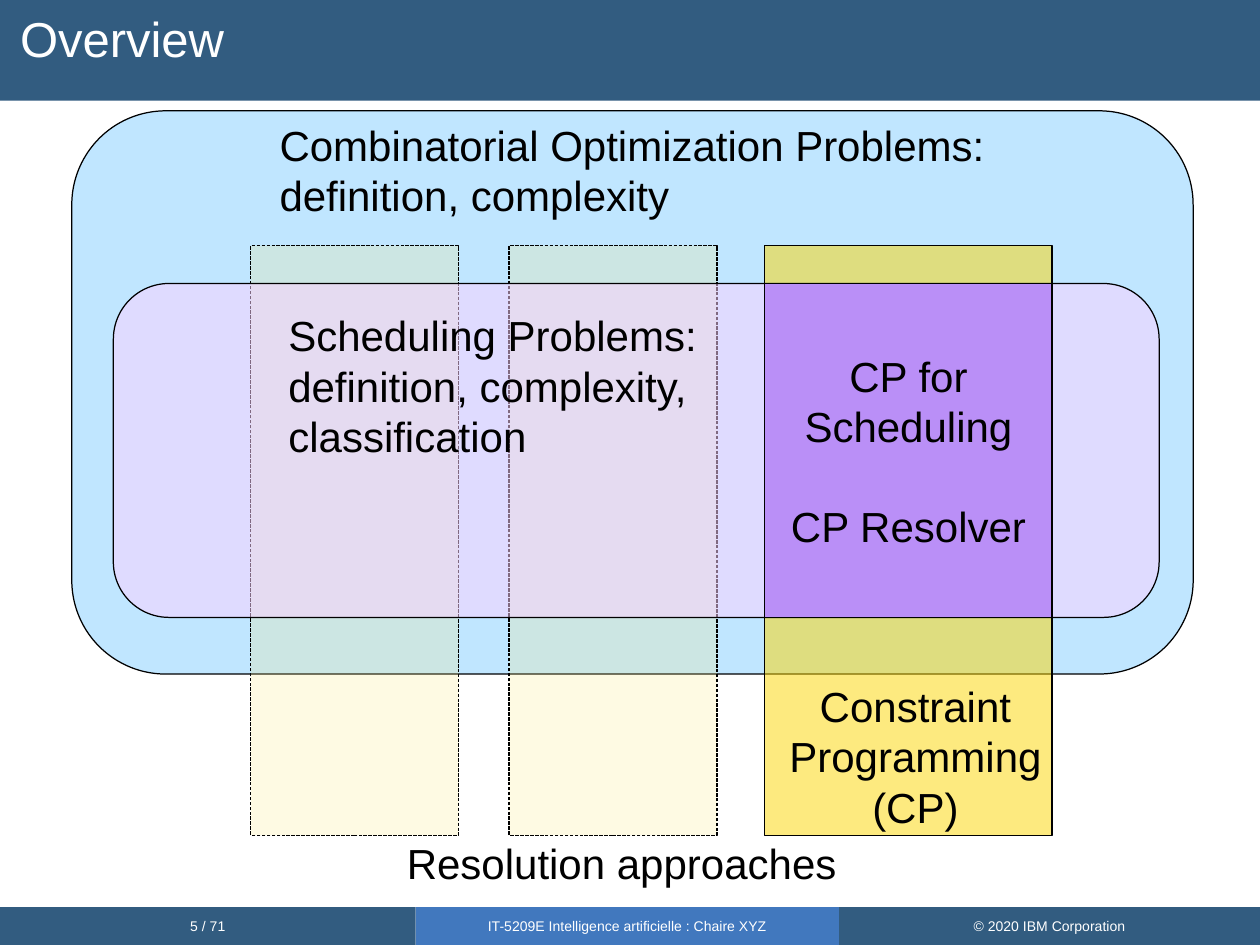
from lxml import etree
from pptx import Presentation
from pptx.dml.color import RGBColor
from pptx.enum.dml import MSO_LINE
from pptx.enum.shapes import MSO_SHAPE
from pptx.enum.text import MSO_ANCHOR, MSO_AUTO_SIZE, PP_ALIGN
from pptx.oxml.ns import qn
from pptx.util import Inches, Pt

COLORS = {
    "bar": "325C80", "bar_mid": "4178BE", "white": "FFFFFF", "black": "000000",
    "problems": "C0E6FF", "scheduling": "FFD2FF", "approach": "FDE876",
    "cp": "FDD600", "cp_scheduling": "BA8FF7",
}


def rgb(name):
    return RGBColor.from_string(COLORS[name])


def write_text(sp, lines, size=24, color="black", align=PP_ALIGN.LEFT,
               anchor=MSO_ANCHOR.TOP, insets=(0.1, 0.05, 0.1, 0.05)):
    tf = sp.text_frame
    frame_format = {"word_wrap": True, "auto_size": MSO_AUTO_SIZE.NONE,
                    "vertical_anchor": anchor}
    sides = ("margin_left", "margin_top", "margin_right", "margin_bottom")
    frame_format.update(zip(sides, map(Inches, insets)))
    for name, value in frame_format.items():
        setattr(tf, name, value)
    for i, line in enumerate(lines):
        p = tf.paragraphs[0] if i == 0 else tf.add_paragraph()
        p.alignment = align
        r = p.add_run()
        r.text = line
        for name, value in {"name": "Arial", "size": Pt(size)}.items():
            setattr(r.font, name, value)
        r.font.color.rgb = rgb(color)
    return tf


def add_block(s, box, fill, rounded=False, alpha=None, line=True, dash=None):
    kind = MSO_SHAPE.ROUNDED_RECTANGLE if rounded else MSO_SHAPE.RECTANGLE
    sp = s.shapes.add_shape(kind, *map(Inches, box))
    sp.shadow.inherit = False
    sp.fill.solid()
    sp.fill.fore_color.rgb = rgb(fill)
    if alpha is not None:
        color = sp.fill._xPr.find(".//" + qn("a:srgbClr"))
        etree.SubElement(color, qn("a:alpha")).set("val", str(alpha * 1000))
    if line:
        sp.line.color.rgb = rgb("black")
        sp.line.width = Pt(0.71)
        sp.line.dash_style = dash
    else:
        sp.line.fill.background()
    return sp


def add_label(s, box, lines, align=PP_ALIGN.LEFT):
    write_text(s.shapes.add_textbox(*map(Inches, box)), lines, align=align)


def add_header(s, box, text):
    left, top, width, height = box
    bar = add_block(s, (left - 0.1, top - 0.1, width + 0.2, height + 0.1),
                    "bar", line=False)
    title = s.shapes.title
    title._element.addprevious(bar._element)  # bar goes behind the title
    for name, value in zip(("left", "top", "width", "height"), box):
        setattr(title, name, Inches(value))
    tf = write_text(title, [text], 28, "white", insets=(0.16, 0.12, 0.1, 0.05))
    tf.paragraphs[0].line_spacing = 0.9


def add_footer(s, box):
    left, top, width, height = box
    cells = [
        (0, 3.3, "bar", "5 / 71"),
        (3.3, 6.66, "bar_mid", "IT-5209E Intelligence artificielle : Chaire XYZ"),
        (6.66, width, "bar", "© 2020 IBM Corporation"),
    ]
    for start, end, fill, text in cells:
        sp = add_block(s, (left + start, top, end - start, height), fill, line=False)
        write_text(sp, [text], 8, "white", PP_ALIGN.CENTER, MSO_ANCHOR.MIDDLE)


def add_diagram(s, box):
    left, top, width, height = box
    column_top, column_height = top + 1.07, 4.68
    band_top, band_height = top + 1.37, 2.65
    cp_left, cp_width = left + 5.5, 2.28

    # Combinatorial problems and the resolution approaches crossing them
    add_block(s, (left, top, width, 4.47), "problems", rounded=True)
    for offset in (1.42, 3.47):
        add_block(s, (left + offset, column_top, 1.65, column_height),
                  "approach", alpha=20, dash=MSO_LINE.SQUARE_DOT)
    add_block(s, (cp_left, column_top, cp_width, column_height), "cp", alpha=50)
    add_label(s, (left + 2.56, top + 5.72, 3.78, 0.5), ["Resolution approaches"])
    add_label(s, (cp_left, top + 4.47, 2.39, 1.3),
              ["Constraint", "Programming", "(CP)"], PP_ALIGN.CENTER)

    # Scheduling band
    add_block(s, (left + 0.33, band_top, 8.3, band_height), "scheduling",
              rounded=True, alpha=50)
    add_label(s, (left + 1.62, top + 1.53, 3.67, 1.3),
              ["Scheduling Problems:", "definition, complexity,", "classification"])
    add_label(s, (left + 1.55, top + 0.02, 6.21, 0.9),
              ["Combinatorial Optimization Problems:", "definition, complexity"])

    # Where scheduling meets constraint programming
    sp = add_block(s, (cp_left, band_top, cp_width, band_height), "cp_scheduling")
    tf = write_text(sp, ["CP for", "Scheduling", "CP Resolver"],
                    align=PP_ALIGN.CENTER, anchor=MSO_ANCHOR.MIDDLE,
                    insets=(0.09, 0.04, 0.09, 0.04))
    tf.paragraphs[-1].space_before = Pt(28)


def main():
    prs = Presentation()
    prs.slide_width, prs.slide_height = Inches(10), Inches(7.5)
    s = prs.slides.add_slide(prs.slide_layouts[5])
    add_header(s, (0, 0, 10, 0.8), "Overview")
    add_diagram(s, (0.57, 0.88, 8.9, 6.22))
    add_footer(s, (0, 7.2, 10, 0.3))
    prs.save("out.pptx")


if __name__ == "__main__":
    main()
